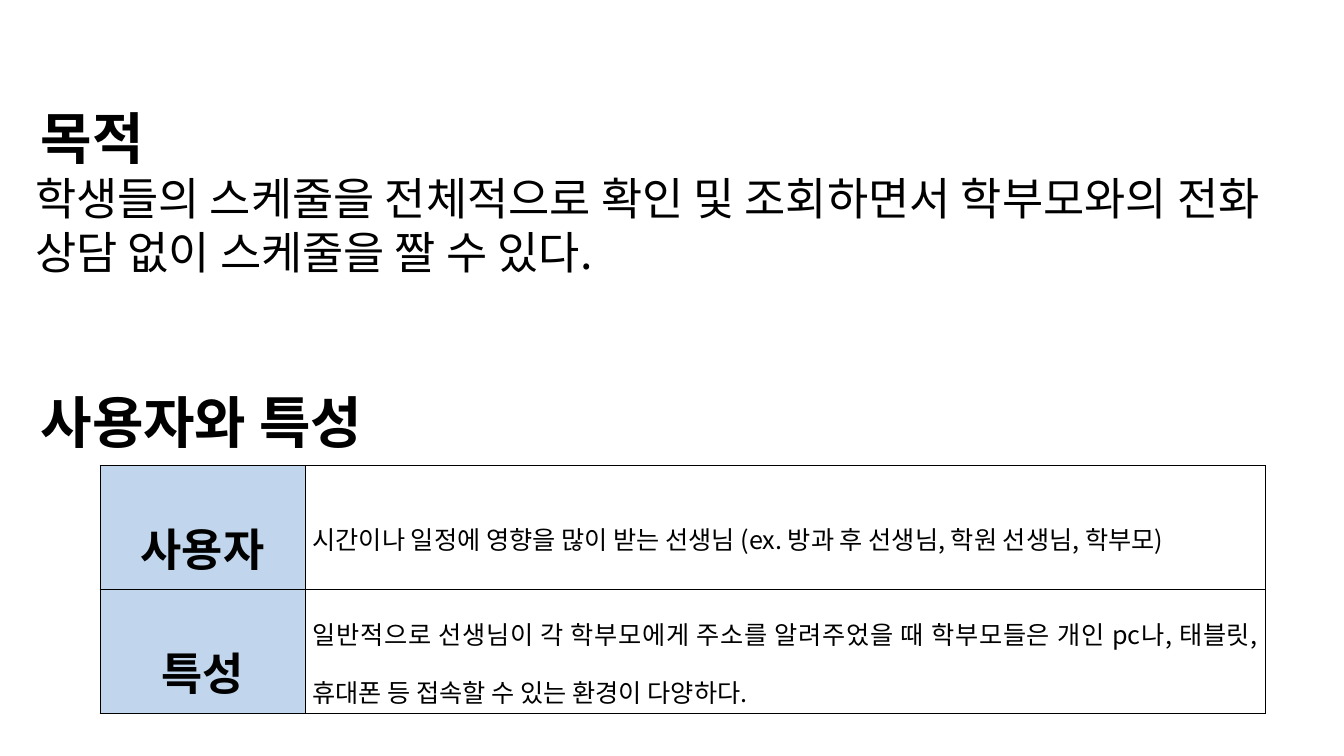
from lxml import etree
from pptx import Presentation
from pptx.dml.color import RGBColor
from pptx.enum import text
from pptx.oxml import ns
from pptx.util import Pt

FONT = "Noto Sans CJK KR"
BLACK = RGBColor(0x00, 0x00, 0x00)
WHITE = RGBColor(0xFF, 0xFF, 0xFF)
BLUE = RGBColor(0xC1, 0xD6, 0xED)
ALIGN = text.PP_ALIGN


def write(p, words, size, bold=False, align=ALIGN.LEFT, spacing=1.0, before=0, indent=0):
    p.alignment = align
    p.line_spacing = spacing
    p.space_before = Pt(before)
    p._p.get_or_add_pPr().set("marL", str(Pt(indent)))
    r = p.add_run()
    r.text = words
    r.font.size = Pt(size)
    r.font.bold = bold
    r.font.color.rgb = BLACK
    r.font.name = FONT
    ea = etree.SubElement(r._r.get_or_add_rPr(), ns.qn("a:ea"))
    ea.set("typeface", FONT)


def add_borders(cell):
    tcPr = cell._tc.get_or_add_tcPr()
    for i, side in enumerate(("lnL", "lnR", "lnT", "lnB")):
        ln = etree.Element(ns.qn(f"a:{side}"), w=str(Pt(0.28)))
        fill = etree.SubElement(ln, ns.qn("a:solidFill"))
        etree.SubElement(fill, ns.qn("a:srgbClr"), val=str(BLACK))
        tcPr.insert(i, ln)


prs = Presentation()
prs.slide_width = Pt(960)
prs.slide_height = Pt(540)
s = prs.slides.add_slide(prs.slide_layouts[6])

tb = s.shapes.add_textbox(Pt(18), Pt(70.56), Pt(924.5), Pt(269.3))
tf = tb.text_frame
tf.word_wrap = True
write(tf.paragraphs[0], "목적", 40, bold=True, indent=4)
write(tf.add_paragraph(),
      "학생들의 스케줄을 전체적으로 확인 및 조회하면서 학부모와의 전화 상담 없이 스케줄을 짤 수 있다.", 32)
write(tf.add_paragraph(), "사용자와 특성", 40, bold=True, before=78, indent=4)

rows = [
    ("사용자", "시간이나 일정에 영향을 많이 받는 선생님 (ex. 방과 후 선생님, 학원 선생님, 학부모)"),
    ("특성", "일반적으로 선생님이 각 학부모에게 주소를 알려주었을 때 학부모들은 개인 pc나, "
             "태블릿, 휴대폰 등 접속할 수 있는 환경이 다양하다."),
]
formats = [
    dict(size=32, bold=True, align=ALIGN.CENTER, spacing=1.6),
    dict(size=18, align=ALIGN.JUSTIFY, spacing=1.6),
]
table = s.shapes.add_table(2, 2, Pt(71.3), Pt(332.6), Pt(832.3), Pt(177.1)).table
table.first_row = False
table.horz_banding = False
table.columns[0].width = Pt(146.9)
table.columns[1].width = Pt(685.4)

for i, row in enumerate(rows):
    for j, words in enumerate(row):
        cell = table.cell(i, j)
        cell.vertical_anchor = text.MSO_ANCHOR.MIDDLE
        cell.margin_left = cell.margin_right = Pt(5.1)
        cell.margin_top = cell.margin_bottom = Pt(1.4)
        cell.fill.solid()
        cell.fill.fore_color.rgb = (BLUE, WHITE)[j]
        add_borders(cell)
        write(cell.text_frame.paragraphs[0], words, **formats[j])

prs.save("out.pptx")
